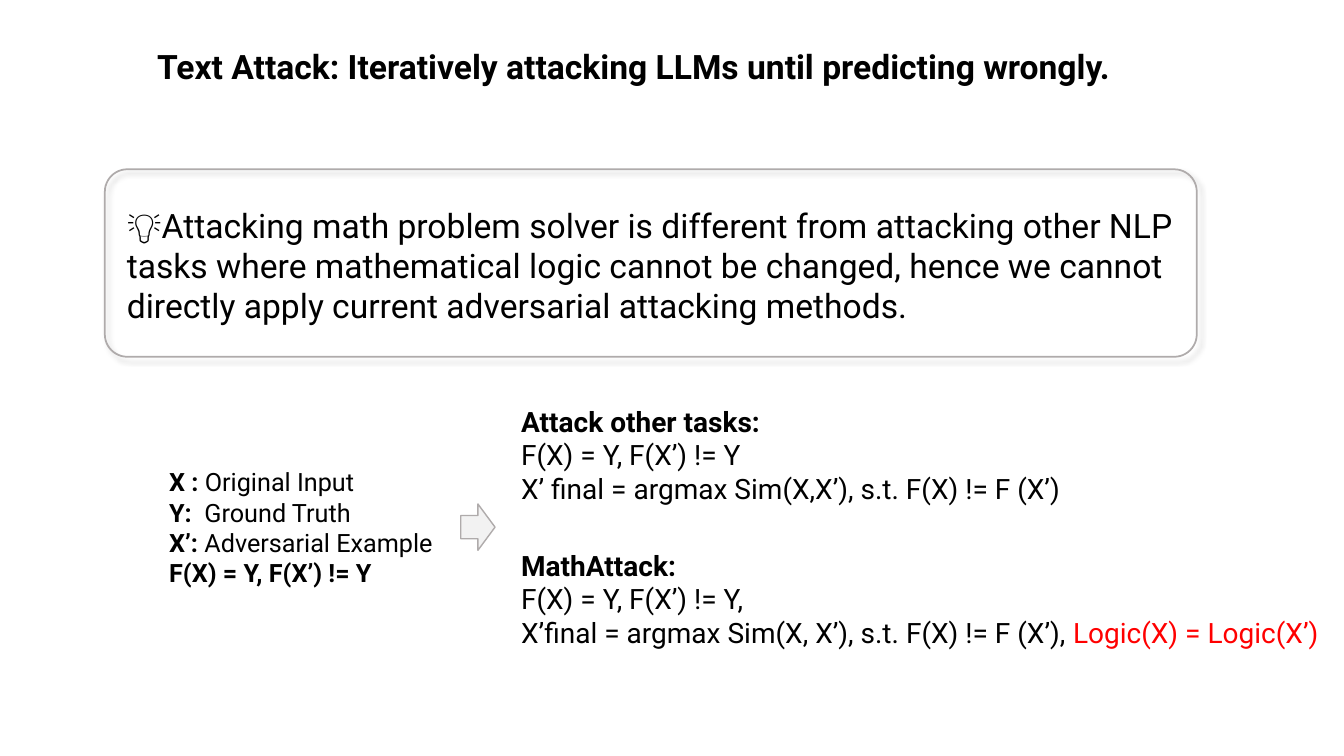
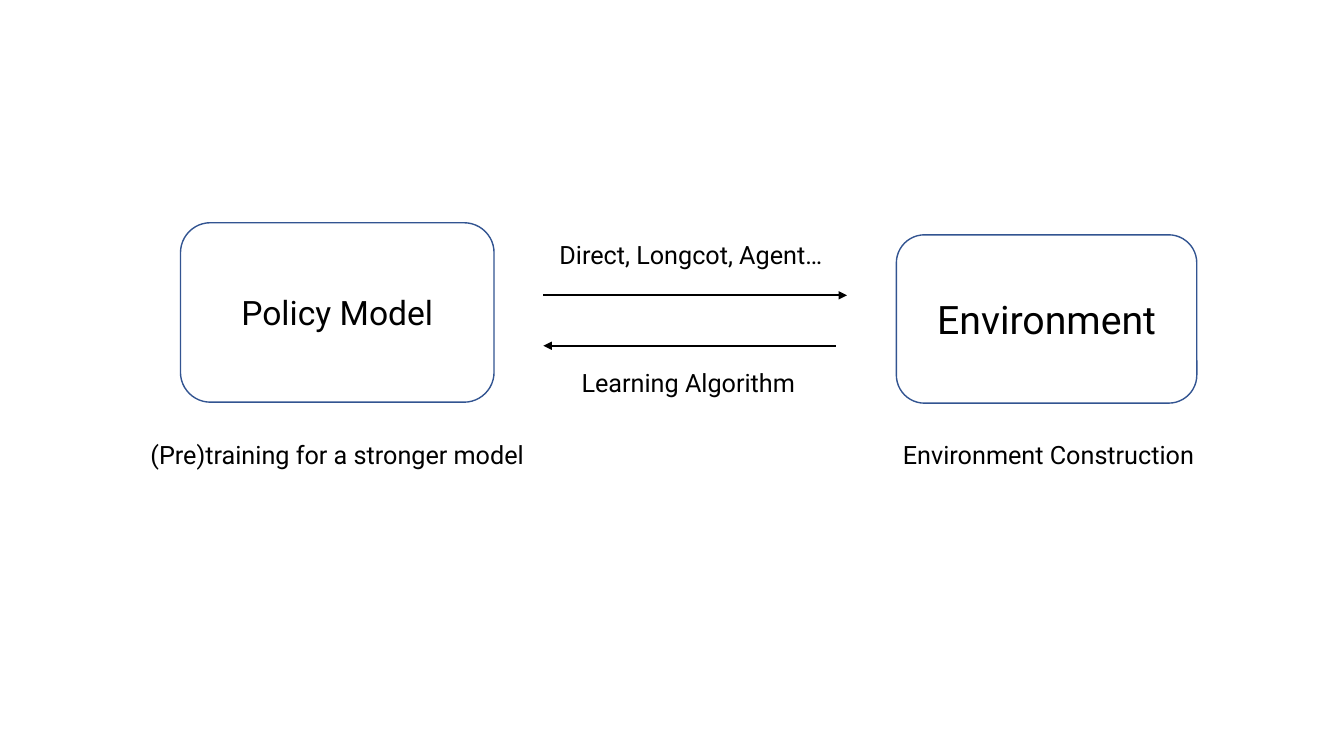
"""Builds two slides on attacking math solvers and on training a policy model."""
from lxml.etree import SubElement
from pptx import Presentation
from pptx.dml.color import RGBColor
from pptx.enum.shapes import MSO_CONNECTOR, MSO_SHAPE
from pptx.enum.text import MSO_ANCHOR, MSO_AUTO_SIZE, PP_ALIGN
from pptx.oxml.ns import qn
from pptx.util import Pt

PX = 9144
SLIDE_SIZE = (1333, 750)
FONT = "Roboto"
BLACK, WHITE, RED = "000000", "FFFFFF", "FF0000"
GREY, PALE, BLUE = "AFABAB", "F2F2F2", "325491"

TITLE = "Text Attack: Iteratively attacking LLMs until predicting wrongly."
INSIGHT = (
    "💡Attacking math problem solver is different from attacking other NLP tasks "
    "where mathematical logic cannot be changed, hence we cannot directly apply "
    "current adversarial attacking methods."
)
DEFINITIONS = [
    [("X : ", {"bold": True}), ("Original Input", {})],
    [("Y:  ", {"bold": True}), ("Ground Truth", {})],
    [("X’: ", {"bold": True}), ("Adversarial Example", {})],
    [("F(X) = Y, F(X’) != Y", {"bold": True})],
]
OTHER_TASKS = [
    [("Attack other tasks:", {"bold": True})],
    [("F(X) = Y, F(X’) != Y", {})],
    [("X’ final = argmax Sim(X,X’), s.t. F(X) != F (X’)", {})],
]
MATH_ATTACK = [
    [("MathAttack:", {"bold": True})],
    [("F(X) = Y, F(X’) != Y,", {})],
    [("X’final = argmax Sim(X, X’), s.t. F(X) != F (X’), ", {}),
     ("Logic(X) = Logic(X’)", {"color": RED})],
]
ATTACK_TEXTS = [
    ([[(TITLE, {"bold": True})]], (146, 41, 1041, 50), {"size": 24}),
    ([[(INSIGHT, {})]], (116, 198, 1102, 131), {"size": 24}),
    (OTHER_TASKS, (507, 396, 726, 111), {"size": 20}),
    (MATH_ATTACK, (507, 539, 820, 111), {"size": 20, "wrap": False}),
    (DEFINITIONS, (158, 458, 333, 131), {"size": 18}),
]

NODES = [
    ("Environment", (889, 233, 298, 167), 28),
    ("Policy Model", (179, 221, 311, 178), 24),
]
ARROWS = [(539, 840, 293), (829, 539, 343)]
LABELS = [
    ("Direct, Longcot, Agent…", (545, 233, 289, 40), PP_ALIGN.LEFT),
    ("Learning Algorithm", (567, 359, 234, 40), PP_ALIGN.LEFT),
    ("(Pre)training for a stronger model", (135, 431, 399, 40), PP_ALIGN.CENTER),
    ("Environment Construction", (885, 431, 310, 40), PP_ALIGN.CENTER),
]


def px(values):
    return [value * PX for value in values]


def rgb(code):
    return RGBColor.from_string(code)


def write(frame, paras, size=18, align=PP_ALIGN.LEFT, wrap=True):
    frame.word_wrap = wrap
    for index, spans in enumerate(paras):
        para = frame.add_paragraph() if index else frame.paragraphs[0]
        para.alignment = align
        for text, style in spans:
            span = para.add_run()
            span.text = text
            span.font.name = FONT
            span.font.size = Pt(size)
            span.font.bold = style.get("bold", False)
            span.font.color.rgb = rgb(style.get("color", BLACK))


def add_text(page, paras, place, **style):
    box = page.shapes.add_textbox(*px(place))
    write(box.text_frame, paras, **style)
    box.text_frame.auto_size = MSO_AUTO_SIZE.SHAPE_TO_FIT_TEXT


def add_shape(page, kind, place, line, width=1, fill=None):
    shape = page.shapes.add_shape(kind, *px(place))
    shape.shadow.inherit = False
    shape.line.color.rgb = rgb(line)
    shape.line.width = Pt(width)
    if fill:
        shape.fill.solid()
        shape.fill.fore_color.rgb = rgb(fill)
    else:
        shape.fill.background()
    return shape


def add_shadow(shape):
    effects = shape.element.spPr.find(qn("a:effectLst"))
    shadow = SubElement(effects, qn("a:outerShdw"), blurRad=str(Pt(4)),
                        dist=str(Pt(3)), dir="2700000", algn="tl", rotWithShape="0")
    color = SubElement(shadow, qn("a:srgbClr"), val=BLACK)
    SubElement(color, qn("a:alpha"), val="18000")


def add_arrow(page, start, end, y):
    arrow = page.shapes.add_connector(MSO_CONNECTOR.STRAIGHT, *px((start, y, end, y)))
    arrow.line.color.rgb = rgb(BLACK)
    arrow.line.width = Pt(1.5)
    SubElement(arrow.get_or_add_ln(), qn("a:tailEnd"), type="triangle")
    SubElement(arrow.element.spPr, qn("a:effectLst"))


def build_attack(page):
    for paras, place, style in ATTACK_TEXTS:
        add_text(page, paras, place, **style)
    frame = add_shape(page, MSO_SHAPE.ROUNDED_RECTANGLE, (104, 168, 1083, 186), GREY, 1.25)
    frame.adjustments[0] = 0.12
    add_shadow(frame)
    add_shape(page, MSO_SHAPE.RIGHT_ARROW, (457, 500, 34, 46), GREY, fill=PALE)


def build_training(page):
    for name, place, size in NODES:
        node = add_shape(page, MSO_SHAPE.ROUNDED_RECTANGLE, place, BLUE, fill=WHITE)
        node.text_frame.vertical_anchor = MSO_ANCHOR.MIDDLE
        write(node.text_frame, [[(name, {})]], size=size, align=PP_ALIGN.CENTER)
    for start, end, y in ARROWS:
        add_arrow(page, start, end, y)
    for text, place, align in LABELS:
        add_text(page, [[(text, {})]], place, align=align, wrap=False)


def main():
    deck = Presentation()
    deck.slide_width, deck.slide_height = px(SLIDE_SIZE)
    for build in (build_attack, build_training):
        build(deck.slides.add_slide(deck.slide_layouts[6]))
    deck.save("out.pptx")


if __name__ == "__main__":
    main()
